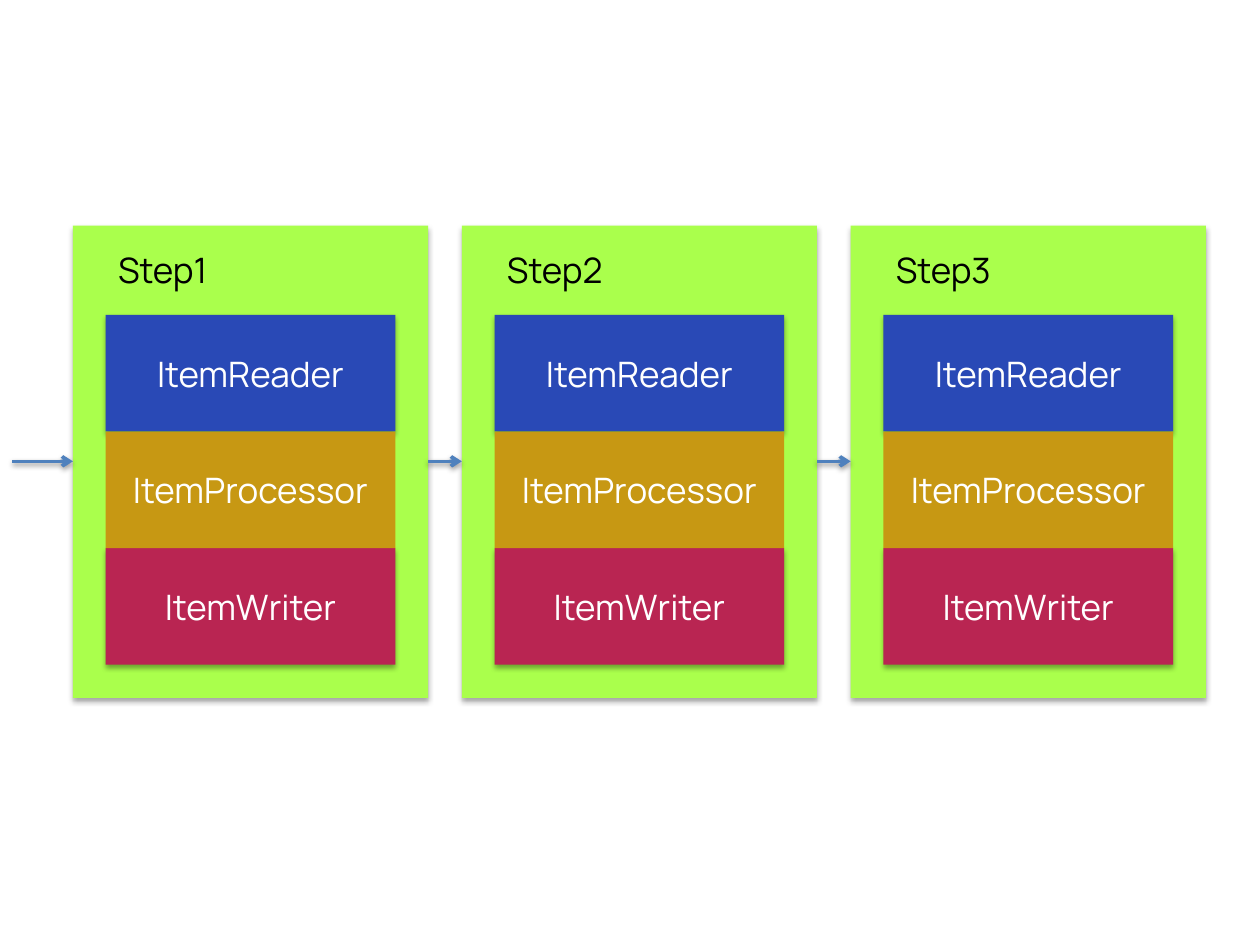
import pptx
import pptx.dml.color
import pptx.enum.shapes
import pptx.enum.text
import pptx.oxml
import pptx.oxml.ns
import pptx.util

Cm = pptx.util.Cm
Pt = pptx.util.Pt
RGBColor = pptx.dml.color.RGBColor
MSO_SHAPE = pptx.enum.shapes.MSO_SHAPE
PP_ALIGN = pptx.enum.text.PP_ALIGN

GREEN = RGBColor(0xAA, 0xFF, 0x4C)
BLUE = RGBColor(0x29, 0x49, 0xB6)
GOLD = RGBColor(0xC7, 0x98, 0x13)
CRIMSON = RGBColor(0xB9, 0x25, 0x52)
ARROW = RGBColor(0x4F, 0x81, 0xBD)
WHITE = RGBColor(0xFF, 0xFF, 0xFF)
BLACK = RGBColor(0, 0, 0)

STEP_LEFT, STEP_TOP, STEP_W, STEP_H = 1.47, 4.55, 7.16, 9.52
PITCH = 7.84
PAD = 0.66
ITEM_TOP, ITEM_H = 1.8, 2.35
ARROW_Y = 9.3
ITEMS = [("ItemReader", 0, BLUE, True),
         ("ItemWriter", 2, CRIMSON, True),
         ("ItemProcessor", 1, GOLD, False)]


def set_attrs(obj, values):
    """Set each attribute of obj from a dict."""
    for name, value in values.items():
        setattr(obj, name, value)


def add_shadow(sp, dist, alpha):
    """Give a shape or connector a soft shadow straight below it."""
    effects = pptx.oxml.parse_xml(
        f'<a:effectLst {pptx.oxml.ns.nsdecls("a")}>'
        f'<a:outerShdw blurRad="{Pt(3.1)}" dist="{Pt(dist)}" dir="5400000" rotWithShape="0">'
        f'<a:srgbClr val="000000"><a:alpha val="{alpha * 1000}"/></a:srgbClr>'
        '</a:outerShdw></a:effectLst>')
    sp._element.spPr.append(effects)


def write_text(tf, text, color, align):
    """Write one 20 pt line into a text frame."""
    p = tf.paragraphs[0]
    p.alignment = align
    r = p.add_run()
    r.text = text
    set_attrs(r.font, {"name": "Manrope", "size": Pt(20)})
    r.font.color.rgb = color


def add_block(shapes, x, y, w, h, fill, shadow=True):
    """Add a borderless filled rectangle."""
    sp = shapes.add_shape(MSO_SHAPE.RECTANGLE, Cm(x), Cm(y), Cm(w), Cm(h))
    sp.fill.solid()
    sp.fill.fore_color.rgb = fill
    sp.line.fill.background()
    if shadow:
        add_shadow(sp, 1.8, 35)
    else:
        sp.shadow.inherit = False
    return sp


def add_step(slide, title, x, y, w, h):
    """Add one grouped step with its title and three stacked items."""
    shapes = slide.shapes.add_group_shape().shapes
    add_block(shapes, x, y, w, h, GREEN)
    for name, row, fill, shadow in ITEMS:
        sp = add_block(shapes, x + PAD, y + ITEM_TOP + row * ITEM_H,
                       w - 2 * PAD, ITEM_H, fill, shadow)
        sp.text_frame.vertical_anchor = pptx.enum.text.MSO_ANCHOR.MIDDLE
        write_text(sp.text_frame, name, WHITE, PP_ALIGN.CENTER)
    tf = shapes.add_textbox(Cm(x + PAD), Cm(y + 0.33), Cm(2.55), Cm(1.12)).text_frame
    set_attrs(tf, {"word_wrap": False,
                   "auto_size": pptx.enum.text.MSO_AUTO_SIZE.SHAPE_TO_FIT_TEXT})
    write_text(tf, title, BLACK, PP_ALIGN.LEFT)


def add_arrow(slide, x1, x2, y):
    """Add a horizontal arrow from x1 to x2."""
    sp = slide.shapes.add_connector(pptx.enum.shapes.MSO_CONNECTOR.STRAIGHT,
                                    Cm(x1), Cm(y), Cm(x2), Cm(y))
    sp.line.color.rgb = ARROW
    sp.line.width = Pt(2)
    sp.line._get_or_add_ln().append(pptx.oxml.parse_xml(
        f'<a:tailEnd {pptx.oxml.ns.nsdecls("a")} type="arrow"/>'))
    add_shadow(sp, 1.6, 38)


def main():
    """Build the slide of three chained steps."""
    prs = pptx.Presentation()
    set_attrs(prs, {"slide_width": Cm(25.4), "slide_height": Cm(19.05)})
    slide = prs.slides.add_slide(prs.slide_layouts[6])
    lefts = [STEP_LEFT + i * PITCH for i in range(3)]
    for i, x in reversed(list(enumerate(lefts, 1))):
        add_step(slide, f"Step{i}", x, STEP_TOP, STEP_W, STEP_H)
    starts = [0.25] + [x + STEP_W for x in lefts[:-1]]
    for start, end in zip(starts, lefts):
        add_arrow(slide, start, end, ARROW_Y)
    prs.save("out.pptx")


main()
